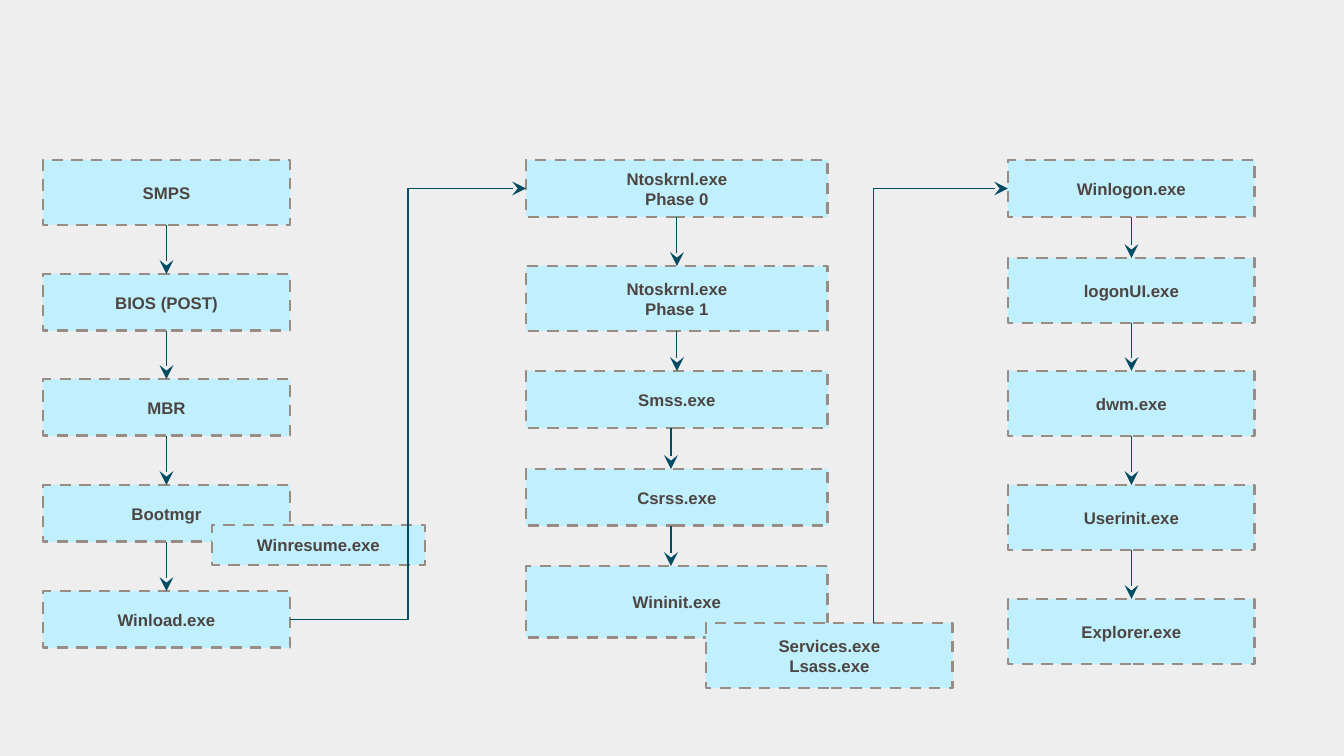
from dataclasses import dataclass
from itertools import pairwise

from lxml import etree
from pptx import Presentation
from pptx.dml.color import RGBColor
from pptx.enum.dml import MSO_LINE
from pptx.enum.shapes import MSO_CONNECTOR, MSO_SHAPE
from pptx.enum.text import MSO_ANCHOR, PP_ALIGN
from pptx.oxml.ns import qn
from pptx.util import Pt

STRAIGHT, ELBOW = MSO_CONNECTOR.STRAIGHT, MSO_CONNECTOR.ELBOW
RECTANGLE = MSO_SHAPE.RECTANGLE
DASH = MSO_LINE.DASH
MIDDLE = MSO_ANCHOR.MIDDLE
CENTER = PP_ALIGN.CENTER

EMU_PER_PX = 914400 / 100.8
BACKGROUND, BOX_FILL, BOX_BORDER = "EEEEEE", "C0F0FE", "998C85"
TEXT_COLOR, ARROW_COLOR = "4D4541", "004C63"
LOW, TALL = 57, 65


@dataclass(frozen=True)
class Step:
    text: str
    top: int
    height: int
    arrow_shift: int = 0  # sideways shift of the arrow that leaves the step


@dataclass(frozen=True)
class Stage:
    left: int
    width: int
    steps: tuple[Step, ...]


FIRMWARE = Stage(43, 247, (
    Step("SMPS", 160, TALL),
    Step("BIOS (POST)", 274, LOW),
    Step("MBR", 379, LOW),
    Step("Bootmgr", 485, LOW),
    Step("Winload.exe", 591, LOW),
))
KERNEL = Stage(526, 302, (
    Step("Ntoskrnl.exe\nPhase 0", 160, LOW),
    Step("Ntoskrnl.exe\nPhase 1", 266, TALL),
    Step("Smss.exe", 371, LOW, -6),
    Step("Csrss.exe", 469, LOW, -6),
    Step("Wininit.exe", 566, 72),
))
LOGON = Stage(1008, 247, (
    Step("Winlogon.exe", 160, LOW),
    Step("logonUI.exe", 258, TALL),
    Step("dwm.exe", 371, TALL),
    Step("Userinit.exe", 485, TALL),
    Step("Explorer.exe", 599, TALL),
))
RESUME = Stage(212, 213, (Step("Winresume.exe", 525, 40),))
SERVICES = Stage(706, 247, (Step("Services.exe\nLsass.exe", 623, TALL),))


def px(length: float) -> int:
    return round(length * EMU_PER_PX)


def rgb(color: str) -> RGBColor:
    return RGBColor.from_string(color)


def write_text(frame, text: str, *, size: int, color: str, bold: bool,
               font: str = "Arial") -> None:
    frame.word_wrap = True
    frame.vertical_anchor = MIDDLE
    frame.text = text
    for paragraph in frame.paragraphs:
        paragraph.alignment = CENTER
        for run in paragraph.runs:
            run.font.name = font
            run.font.size = Pt(size)
            run.font.bold = bold
            run.font.color.rgb = rgb(color)


def draw_box(slide, stage: Stage, step: Step) -> None:
    box = slide.shapes.add_shape(
        RECTANGLE, px(stage.left), px(step.top), px(stage.width), px(step.height))
    box.shadow.inherit = False
    box.fill.solid()
    box.fill.fore_color.rgb = rgb(BOX_FILL)
    box.line.color.rgb = rgb(BOX_BORDER)
    box.line.width = Pt(2)
    box.line.dash_style = DASH
    write_text(box.text_frame, step.text, size=12, color=TEXT_COLOR, bold=True)


def draw_arrow(slide, kind, x1: float, y1: float, x2: float, y2: float):
    arrow = slide.shapes.add_connector(kind, px(x1), px(y1), px(x2), px(y2))
    arrow.line.color.rgb = rgb(ARROW_COLOR)
    arrow.line.width = Pt(0.75)
    etree.SubElement(arrow.line._get_or_add_ln(), qn("a:tailEnd"),
                     type="stealth", w="lg", len="lg")
    etree.SubElement(arrow._element.spPr, qn("a:effectLst"))
    return arrow


def draw_corner_arrow(slide, x1: float, y1: float, x2: float, y2: float) -> None:
    """Go up from the start, then right to the end: one bend, turned by 270 degrees."""
    mid_x, mid_y = (x1 + x2) / 2, (y1 + y2) / 2
    half_run, half_rise = (x2 - x1) / 2, (y1 - y2) / 2
    arrow = draw_arrow(slide, ELBOW, mid_x - half_rise, mid_y - half_run,
                       mid_x + half_rise, mid_y + half_run)
    properties = arrow._element.spPr
    properties.find(qn("a:xfrm")).set("rot", str(270 * 60000))
    properties.find(qn("a:prstGeom")).set("prst", "bentConnector2")


def draw_step_arrows(slide, stage: Stage) -> None:
    center = stage.left + stage.width / 2
    for step, following in pairwise(stage.steps):
        x = center + step.arrow_shift
        draw_arrow(slide, STRAIGHT, x, step.top + step.height, x, following.top)


def middle(step: Step) -> float:
    return step.top + step.height / 2


def main() -> None:
    deck = Presentation()
    deck.slide_width, deck.slide_height = px(1344), px(756)
    slide = deck.slides.add_slide(deck.slide_layouts[6])
    slide.background.fill.solid()
    slide.background.fill.fore_color.rgb = rgb(BACKGROUND)

    for stage in (FIRMWARE, KERNEL, LOGON, RESUME, SERVICES):
        for step in stage.steps:
            draw_box(slide, stage, step)
    for stage in (FIRMWARE, KERNEL, LOGON):
        draw_step_arrows(slide, stage)

    draw_arrow(slide, ELBOW, FIRMWARE.left + FIRMWARE.width, middle(FIRMWARE.steps[-1]),
               KERNEL.left, middle(KERNEL.steps[0]))
    draw_corner_arrow(slide, 874, SERVICES.steps[0].top,
                      LOGON.left, middle(LOGON.steps[0]))
    deck.save("out.pptx")


if __name__ == "__main__":
    main()
